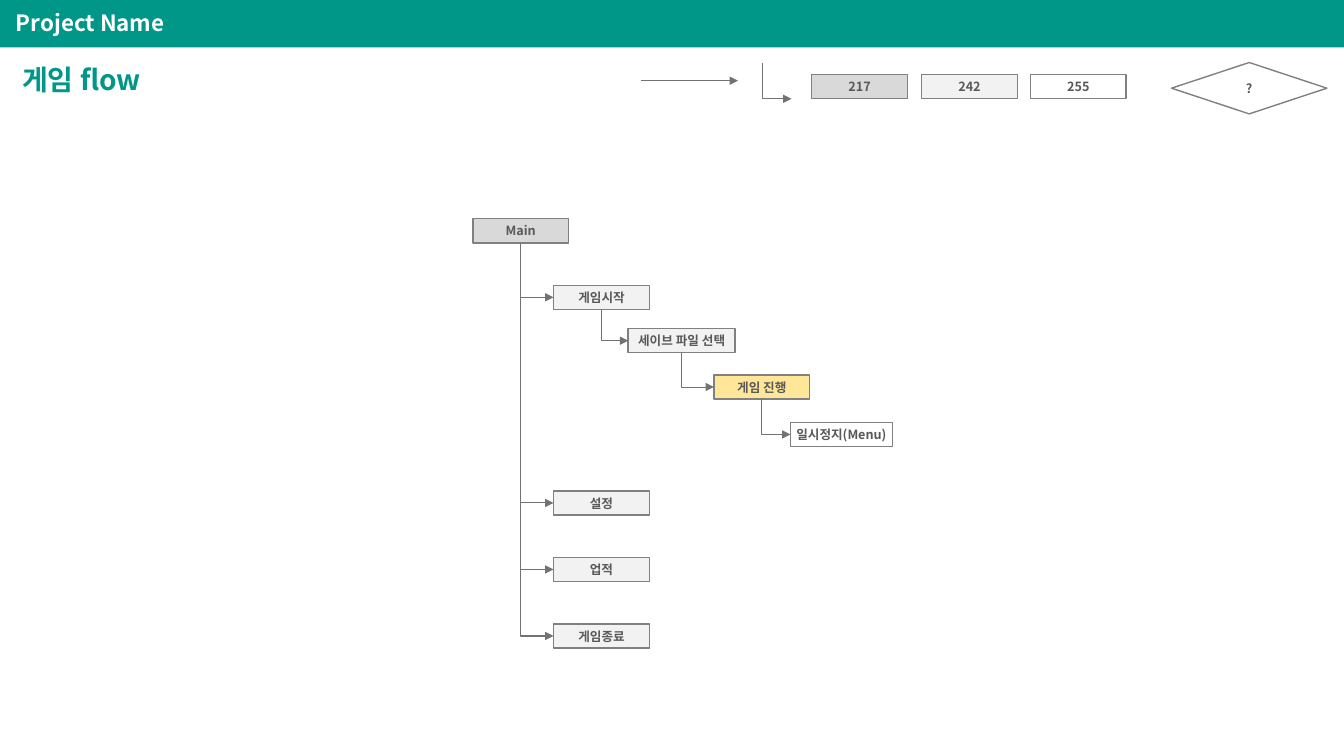
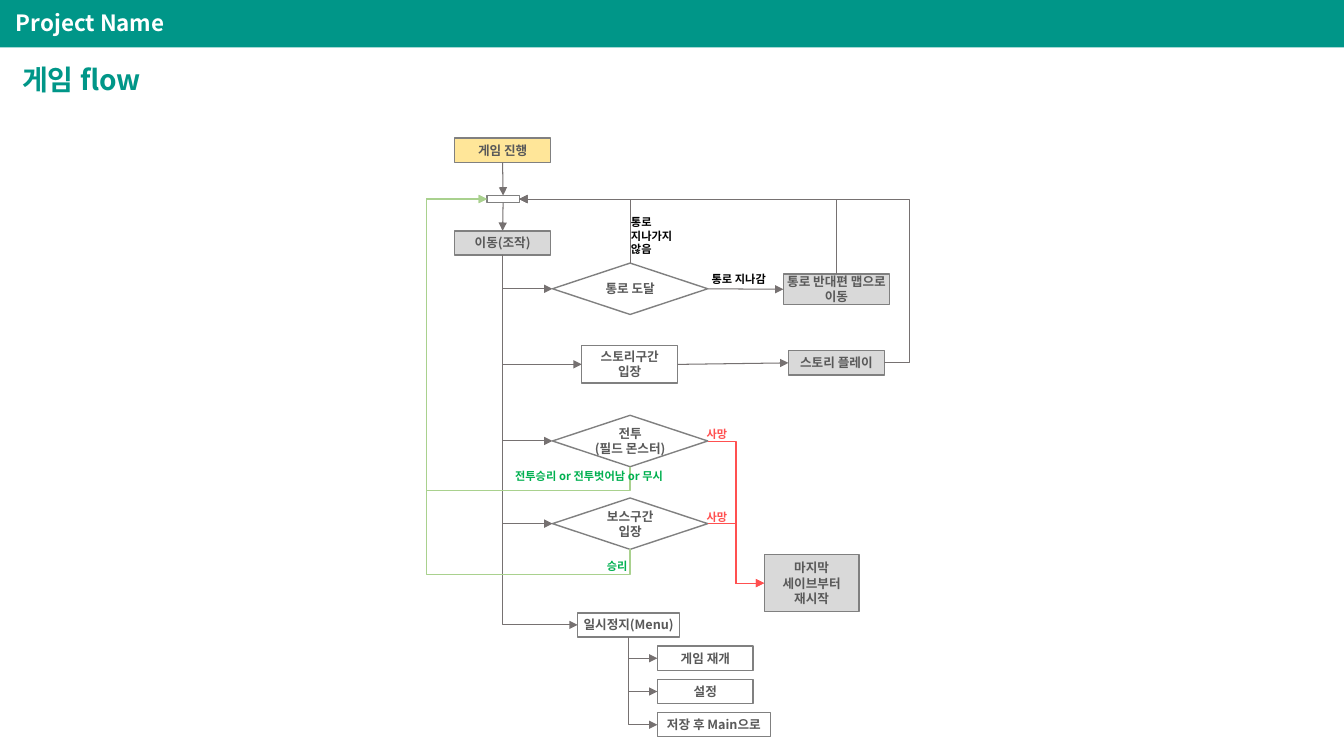
from lxml.etree import SubElement
from pptx import Presentation
from pptx.dml.color import RGBColor
from pptx.enum.shapes import MSO_CONNECTOR, MSO_SHAPE
from pptx.enum.text import MSO_ANCHOR, MSO_AUTO_SIZE, PP_ALIGN
from pptx.oxml.ns import qn
from pptx.util import Inches, Pt

FONT = "Noto Sans CJK KR"
TEAL = RGBColor(0x00, 0x96, 0x88)
WHITE = RGBColor(0xFF, 0xFF, 0xFF)
BLACK = RGBColor(0x00, 0x00, 0x00)
PALE_GRAY = RGBColor(0xF2, 0xF2, 0xF2)
GRAY = RGBColor(0xD9, 0xD9, 0xD9)
YELLOW = RGBColor(0xFF, 0xE6, 0x99)
OUTLINE = RGBColor(0x80, 0x80, 0x80)
BOX_TEXT = RGBColor(0x59, 0x59, 0x59)
ARROW = RGBColor(0x76, 0x71, 0x71)
RED = RGBColor(0xFF, 0x50, 0x50)
LIGHT_GREEN = RGBColor(0xA9, 0xD1, 0x8E)
GREEN = RGBColor(0x00, 0xB0, 0x50)

BOX = (0.95, 0.24)
MENU_BOX = (1.01, 0.24)
DIAMOND = (1.54, 0.51)
TOP, LEFT, BOTTOM, RIGHT = range(4)
SITES = [(0.5, 0), (0, 0.5), (0.5, 1), (1, 0.5)]


def write(text_frame, text, size, color, alignment=PP_ALIGN.LEFT, line_spacing=None):
    text_frame.word_wrap = True
    text_frame.text = text
    for paragraph in text_frame.paragraphs:
        paragraph.alignment = alignment
        paragraph.line_spacing = line_spacing
        font = paragraph.font
        font.name, font.size, font.bold = FONT, Pt(size), True
        font.color.rgb = color
        properties = paragraph._p.pPr.find(qn("a:defRPr"))
        SubElement(properties, qn("a:ea"), typeface=FONT)


def add_arrow(slide, start, end, kind=MSO_CONNECTOR.ELBOW, color=ARROW, width=0.75,
              turns=(), first_axis=1):
    """Draw an arrow; an elbow leaves along first_axis (0 across, 1 down)
    and turns at the given coordinates, whose axes alternate."""
    dx, dy = end[0] - start[0], end[1] - start[1]
    if kind == MSO_CONNECTOR.STRAIGHT:
        corners = (*start, *end)
    else:
        across, down = (abs(dy), abs(dx)) if first_axis else (abs(dx), abs(dy))
        left = (start[0] + end[0] - across) / 2
        top = (start[1] + end[1] - down) / 2
        corners = (left, top, left + across, top + down)
    connector = slide.shapes.add_connector(kind, *map(Inches, corners))
    connector.line.color.rgb = color
    connector.line.width = Pt(width)
    properties = connector.element.spPr
    SubElement(properties.find(qn("a:ln")), qn("a:tailEnd"), type="triangle")
    SubElement(properties, qn("a:effectLst"))
    if kind == MSO_CONNECTOR.ELBOW:
        frame = properties.find(qn("a:xfrm"))
        frame.set("rot", "16200000" if first_axis else "0")
        frame.set("flipH", str(int(dy > 0 if first_axis else dx < 0)))
        frame.set("flipV", str(int(dx < 0 if first_axis else dy < 0)))
        geometry = properties.find(qn("a:prstGeom"))
        geometry.set("prst", f"bentConnector{len(turns) + 2}")
        adjustments = geometry.find(qn("a:avLst"))
        for index, turn in enumerate(turns):
            axis = (first_axis + index) % 2
            ratio = (turn - start[axis]) / (end[axis] - start[axis])
            SubElement(adjustments, qn("a:gd"), name=f"adj{index + 1}",
                       fmla=f"val {round(ratio * 100000)}")
    return connector


presentation = Presentation()
presentation.slide_width = Inches(13.33)
presentation.slide_height = Inches(7.5)
layout = presentation.slide_layouts[5]
layout_title = layout.placeholders[0]
layout_title.left, layout_title.top = Inches(0.12), Inches(0.48)
layout_title.width, layout_title.height = Inches(5.74), Inches(0.65)
menu_slide, play_slide = [presentation.slides.add_slide(layout) for _ in range(2)]

# Header shared through the layout
band = menu_slide.shapes.add_shape(
    MSO_SHAPE.RECTANGLE, 0, 0, presentation.slide_width, Inches(0.47))
band.shadow.inherit = False
band.fill.solid()
band.fill.fore_color.rgb = TEAL
band.line.fill.background()
project_name = menu_slide.shapes.add_textbox(
    Inches(0.06), Inches(0.05), Inches(11.49), Inches(0.38))
project_name.text_frame.vertical_anchor = MSO_ANCHOR.MIDDLE
write(project_name.text_frame, "Project Name", 16, WHITE, line_spacing=0.9)
for shape in (band, project_name):
    layout.shapes.element.append(shape.element)

for slide in (menu_slide, play_slide):
    title_frame = slide.shapes.title.text_frame
    title_frame.auto_size = MSO_AUTO_SIZE.NONE
    title_frame.vertical_anchor = MSO_ANCHOR.MIDDLE
    write(title_frame, "게임 flow", 20, TEAL, line_spacing=0.9)

# Boxes: name, text, position, size, fill
menu_boxes = [
    ("legend dark", "217", (8.05, 0.74), BOX, GRAY),
    ("legend pale", "242", (9.14, 0.74), BOX, PALE_GRAY),
    ("legend white", "255", (10.22, 0.74), BOX, WHITE),
    ("legend decision", "?", (11.62, 0.62), DIAMOND, WHITE),
    ("main", "Main", (4.69, 2.17), BOX, GRAY),
    ("start", "게임시작", (5.49, 2.83), BOX, PALE_GRAY),
    ("main settings", "설정", (5.49, 4.87), BOX, PALE_GRAY),
    ("achievements", "업적", (5.49, 5.53), BOX, PALE_GRAY),
    ("quit", "게임종료", (5.49, 6.19), BOX, PALE_GRAY),
    ("save file", "세이브 파일 선택", (6.23, 3.26), (1.06, 0.24), PALE_GRAY),
    ("main play", "게임 진행", (7.08, 3.72), BOX, YELLOW),
    ("main pause", "일시정지(Menu)", (7.84, 4.19), MENU_BOX, WHITE),
]
play_boxes = [
    ("play", "게임 진행", (4.51, 1.37), BOX, YELLOW),
    ("junction", "", (4.83, 1.94), (0.32, 0.07), WHITE),
    ("move", "이동(조작)", (4.51, 2.29), BOX, GRAY),
    ("passage", "통로 도달", (5.48, 2.61), DIAMOND, WHITE),
    ("other map", "통로 반대편 맵으로 이동", (7.77, 2.72), (1.05, 0.3), GRAY),
    ("story zone", "스토리구간\n입장", (5.77, 3.43), (0.95, 0.37), WHITE),
    ("story play", "스토리 플레이", (7.82, 3.48), BOX, GRAY),
    ("battle", "전투\n(필드 몬스터)", (5.48, 4.12), DIAMOND, WHITE),
    ("boss", "보스구간\n입장", (5.48, 4.94), DIAMOND, WHITE),
    ("restart", "마지막 세이브부터\n재시작", (7.58, 5.5), (0.94, 0.57), GRAY),
    ("pause", "일시정지(Menu)", (5.73, 6.08), MENU_BOX, WHITE),
    ("resume", "게임 재개", (6.52, 6.41), BOX, WHITE),
    ("settings", "설정", (6.52, 6.74), BOX, WHITE),
    ("save and exit", "저장 후 Main으로", (6.52, 7.07), (1.12, 0.24), WHITE),
]
boxes, ports = {}, {}
for slide, slide_boxes in ((menu_slide, menu_boxes), (play_slide, play_boxes)):
    for name, text, (x, y), (width, height), fill in slide_boxes:
        decision = (width, height) == DIAMOND
        shape = slide.shapes.add_shape(
            MSO_SHAPE.FLOWCHART_DECISION if decision else MSO_SHAPE.RECTANGLE,
            Inches(x), Inches(y), Inches(width), Inches(height))
        shape.shadow.inherit = False
        shape.fill.solid()
        shape.fill.fore_color.rgb = fill
        shape.line.color.rgb = OUTLINE
        shape.line.width = Pt(1)
        frame = shape.text_frame
        frame.margin_left = frame.margin_right = frame.margin_top = frame.margin_bottom = 0
        frame.vertical_anchor = MSO_ANCHOR.MIDDLE
        if text:
            write(frame, text, 9, BOX_TEXT, PP_ALIGN.CENTER)
        boxes[name] = shape
        for site, (across, down) in enumerate(SITES):
            ports[name, site] = (x + width * across, y + height * down)

# Arrows that go down from a box and then right into the next
branches = [
    (menu_slide, "main", ["start", "main settings", "achievements", "quit"]),
    (menu_slide, "start", ["save file"]),
    (menu_slide, "save file", ["main play"]),
    (menu_slide, "main play", ["main pause"]),
    (play_slide, "move", ["passage", "story zone", "battle", "boss", "pause"]),
    (play_slide, "pause", ["resume", "settings", "save and exit"]),
]
for slide, parent, children in branches:
    for child in children:
        add_arrow(slide, ports[parent, BOTTOM], ports[child, LEFT])

# Legend arrows
add_arrow(menu_slide, (6.36, 0.8), (7.32, 0.8), MSO_CONNECTOR.STRAIGHT)
add_arrow(menu_slide, (7.56, 0.63), (7.85, 0.98))

# Straight steps of the play loop
for begin, begin_site, end, end_site in [
    ("play", BOTTOM, "junction", TOP),
    ("junction", BOTTOM, "move", TOP),
    ("passage", RIGHT, "other map", LEFT),
    ("story zone", RIGHT, "story play", LEFT),
]:
    connector = add_arrow(play_slide, ports[begin, begin_site], ports[end, end_site],
                          MSO_CONNECTOR.STRAIGHT)
    connector.begin_connect(boxes[begin], begin_site)
    connector.end_connect(boxes[end], end_site)

# Returns to the junction, and deaths that lead to the restart
junction_right = ports["junction", RIGHT]
for name in ("passage", "other map"):
    add_arrow(play_slide, ports[name, TOP], junction_right)
add_arrow(play_slide, ports["story play", RIGHT], junction_right,
          turns=[9.02], first_axis=0)
for name, turn in (("battle", 4.87), ("boss", 5.7)):
    add_arrow(play_slide, ports[name, RIGHT], ports["restart", LEFT], color=RED,
              turns=[7.3], first_axis=0)
    add_arrow(play_slide, ports[name, BOTTOM], ports["junction", LEFT],
              color=LIGHT_GREEN, width=1, turns=[turn, 4.23])

# Arrow labels
for text, x, y, width, height, color in [
    ("통로\n지나가지\n않음", 6.16, 2.09, 0.65, 0.5, BLACK),
    ("통로 지나감", 6.96, 2.65, 0.84, 0.24, BLACK),
    ("사망", 6.91, 4.19, 0.44, 0.24, RED),
    ("사망", 6.91, 5.01, 0.44, 0.24, RED),
    ("전투승리 or 전투벗어남 or 무시", 5.01, 4.61, 1.91, 0.24, GREEN),
    ("승리", 5.92, 5.5, 0.44, 0.24, GREEN),
]:
    label = play_slide.shapes.add_textbox(
        Inches(x), Inches(y), Inches(width), Inches(height))
    label.text_frame.auto_size = MSO_AUTO_SIZE.SHAPE_TO_FIT_TEXT
    write(label.text_frame, text, 8, color)

presentation.save("out.pptx")
